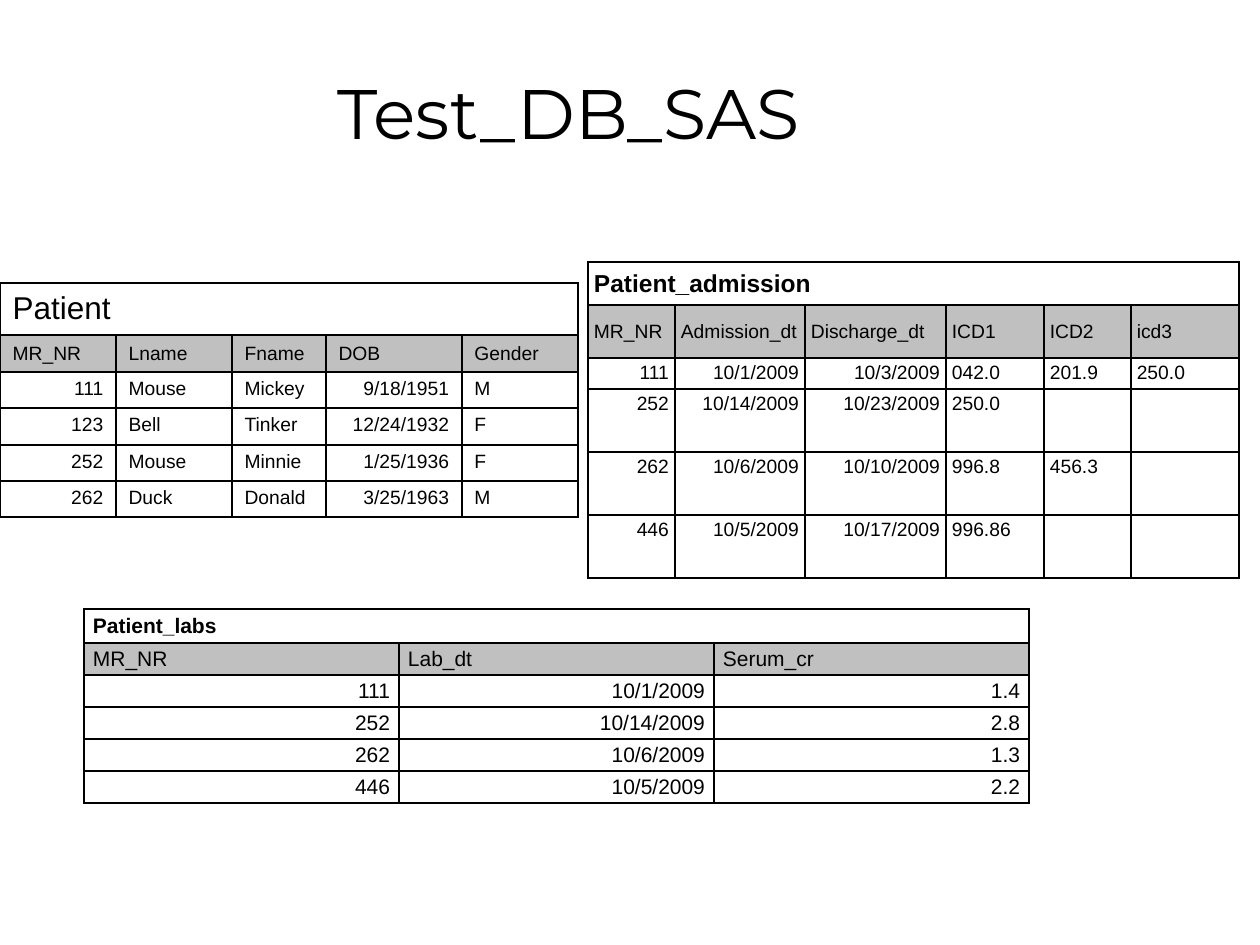
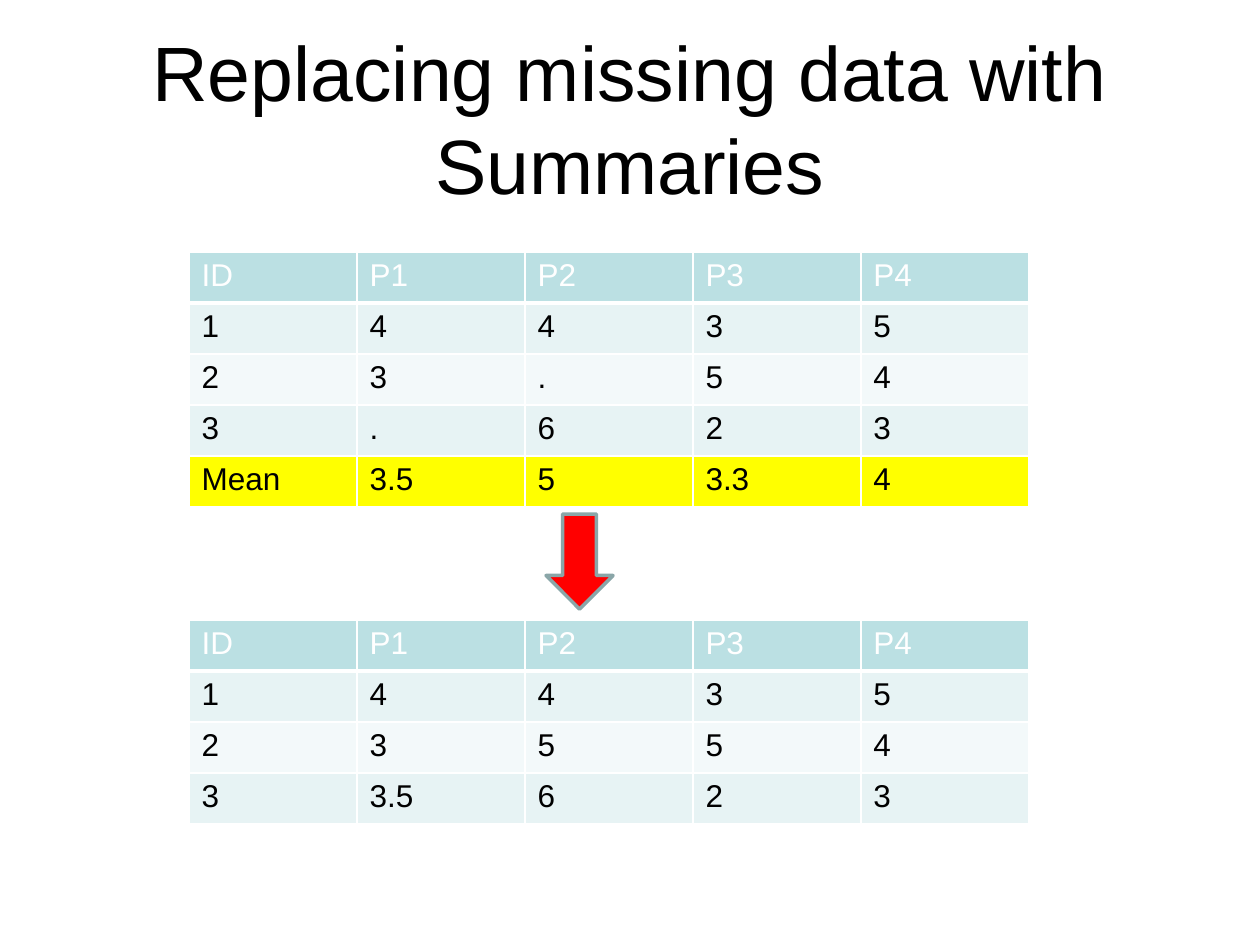
import pptx
import pptx.dml.color
import pptx.enum.shapes
import pptx.enum.text
import pptx.oxml
import pptx.oxml.ns
import pptx.util

RGB = pptx.dml.color.RGBColor
ALIGN = pptx.enum.text.PP_ALIGN
ANCHOR = pptx.enum.text.MSO_ANCHOR

BLACK = RGB(0x00, 0x00, 0x00)
WHITE = RGB(0xFF, 0xFF, 0xFF)
GREY = RGB(0xC0, 0xC0, 0xC0)
TEAL = RGB(0xBB, 0xE0, 0xE3)
BAND_DARK = RGB(0xE7, 0xF3, 0xF4)
BAND_LIGHT = RGB(0xF3, 0xF9, 0xFA)
YELLOW = RGB(0xFF, 0xFF, 0x00)
RED = RGB(0xFF, 0x00, 0x00)
ARROW_EDGE = RGB(0x8A, 0xA6, 0xA8)

BODY_FONT = "Arial"
DISPLAY_FONT = "Montserrat"

PATIENT = [
    ["MR_NR", "Lname", "Fname", "DOB", "Gender"],
    ["111", "Mouse", "Mickey", "9/18/1951", "M"],
    ["123", "Bell", "Tinker", "12/24/1932", "F"],
    ["252", "Mouse", "Minnie", "1/25/1936", "F"],
    ["262", "Duck", "Donald", "3/25/1963", "M"],
]
ADMISSION = [
    ["MR_NR", "Admission_dt", "Discharge_dt", "ICD1", "ICD2", "icd3"],
    ["111", "10/1/2009", "10/3/2009", "042.0", "201.9", "250.0"],
    ["252", "10/14/2009", "10/23/2009", "250.0", "", ""],
    ["262", "10/6/2009", "10/10/2009", "996.8", "456.3", ""],
    ["446", "10/5/2009", "10/17/2009", "996.86", "", ""],
]
LABS = [
    ["MR_NR", "Lab_dt", "Serum_cr"],
    ["111", "10/1/2009", "1.4"],
    ["252", "10/14/2009", "2.8"],
    ["262", "10/6/2009", "1.3"],
    ["446", "10/5/2009", "2.2"],
]
SCORE_HEADER = ["ID", "P1", "P2", "P3", "P4"]
SCORES_MISSING = [
    SCORE_HEADER,
    ["1", "4", "4", "3", "5"],
    ["2", "3", ".", "5", "4"],
    ["3", ".", "6", "2", "3"],
    ["Mean", "3.5", "5", "3.3", "4"],
]
SCORES_FILLED = [
    SCORE_HEADER,
    ["1", "4", "4", "3", "5"],
    ["2", "3", "5", "5", "4"],
    ["3", "3.5", "6", "2", "3"],
]


def px(n):
    return pptx.util.Emu(round(n * 914400 / 126))


def format_runs(tf, size, color=BLACK, font=BODY_FONT, bold=False, align=ALIGN.LEFT):
    for p in tf.paragraphs:
        p.alignment = align
        for r in p.runs:
            r.font.name = font
            r.font.size = pptx.util.Pt(size)
            r.font.bold = bold
            r.font.color.rgb = color


def add_title(s, text, box, size, font, align, anchor, wrap):
    sp = s.shapes.add_textbox(*map(px, box))
    tf = sp.text_frame
    tf.word_wrap = wrap
    tf.vertical_anchor = anchor
    tf.text = text
    format_runs(tf, size, font=font, align=align)


def set_borders(cell, color, bottom=1):
    tc_pr = cell._tc.get_or_add_tcPr()
    for side in "LRTB":
        width = pptx.util.Pt(bottom if side == "B" else 1)
        tc_pr.append(pptx.oxml.parse_xml(
            f'<a:ln{side} {pptx.oxml.ns.nsdecls("a")} w="{width}">'
            f'<a:solidFill><a:srgbClr val="{color}"/></a:solidFill></a:ln{side}>'))


def set_fill(cell, color):
    cell.fill.solid()
    cell.fill.fore_color.rgb = color


def add_grid(s, left, top, cols, rows):
    frame = s.shapes.add_table(len(rows), len(cols), px(left), px(top),
                               px(sum(cols)), px(sum(rows)))
    table = frame.table
    table.first_row = False
    table.horz_banding = False
    for column, width in zip(table.columns, cols):
        column.width = px(width)
    for row, height in zip(table.rows, rows):
        row.height = px(height)
    return table


def add_db_table(s, name, data, left, top, cols, rows, right_cols,
                 name_size, size, name_bold=True, insets=None):
    table = add_grid(s, left, top, cols, rows)
    table.cell(0, 0).merge(table.cell(0, len(cols) - 1))
    lines = [[name] + [""] * (len(cols) - 1)] + data
    for i, line in enumerate(lines):
        for j, text in enumerate(line):
            cell = table.cell(i, j)
            set_borders(cell, BLACK)
            set_fill(cell, GREY if i == 1 else WHITE)
            cell.vertical_anchor = ANCHOR.MIDDLE if i < 2 else ANCHOR.TOP
            if insets:
                cell.margin_left = cell.margin_right = px(insets[0])
                cell.margin_top = cell.margin_bottom = px(insets[1])
            cell.text = text
            format_runs(cell.text_frame, name_size if i == 0 else size,
                        bold=name_bold and i == 0,
                        align=ALIGN.RIGHT if i > 1 and j in right_cols else ALIGN.LEFT)


def add_score_table(s, data, top):
    table = add_grid(s, 189, top, [168] * len(SCORE_HEADER), [51] * len(data))
    for i, line in enumerate(data):
        if i == 0:
            fill = TEAL
        elif line[0] == "Mean":
            fill = YELLOW
        else:
            fill = BAND_DARK if i % 2 else BAND_LIGHT
        for j, text in enumerate(line):
            cell = table.cell(i, j)
            set_borders(cell, WHITE, bottom=1 if i else 3)
            set_fill(cell, fill)
            cell.text = text
            format_runs(cell.text_frame, 18, BLACK if i else WHITE)


def add_down_arrow(s, left, top, width, height):
    sp = s.shapes.add_shape(pptx.enum.shapes.MSO_SHAPE.DOWN_ARROW,
                            px(left), px(top), px(width), px(height))
    sp.shadow.inherit = False
    sp.fill.solid()
    sp.fill.fore_color.rgb = RED
    sp.line.color.rgb = ARROW_EDGE
    sp.line.width = pptx.util.Pt(2)


def build_database_slide(s):
    add_db_table(s, "Patient", PATIENT, 0, 283, [116, 116, 94, 136, 116],
                 [52, 37, 36, 37, 36, 36], {0, 3}, 18, 11, name_bold=False)
    add_db_table(s, "Patient_admission", ADMISSION, 588, 262,
                 [87, 130, 141, 98, 87, 108], [43, 53, 31, 63, 63, 63],
                 {0, 1, 2}, 14, 11, insets=(6, 4))
    add_db_table(s, "Patient_labs", LABS, 84, 609, [315] * 3, [34] + [32] * 5,
                 {0, 1, 2}, 12, 12, insets=(9, 4))
    add_title(s, "Test_DB_SAS", (325, 63, 532, 97), 40, DISPLAY_FONT,
              ALIGN.LEFT, ANCHOR.TOP, False)


def build_summary_slide(s):
    add_title(s, "Replacing missing data with Summaries", (63, 38, 1134, 158), 44,
              BODY_FONT, ALIGN.CENTER, ANCHOR.MIDDLE, True)
    add_score_table(s, SCORES_MISSING, 252)
    add_score_table(s, SCORES_FILLED, 620)
    add_down_arrow(s, 546, 514, 67, 95)


def main():
    prs = pptx.Presentation()
    prs.slide_width, prs.slide_height = px(1260), px(945)
    for build in (build_database_slide, build_summary_slide):
        build(prs.slides.add_slide(prs.slide_layouts[6]))
    prs.save("out.pptx")


if __name__ == "__main__":
    main()
